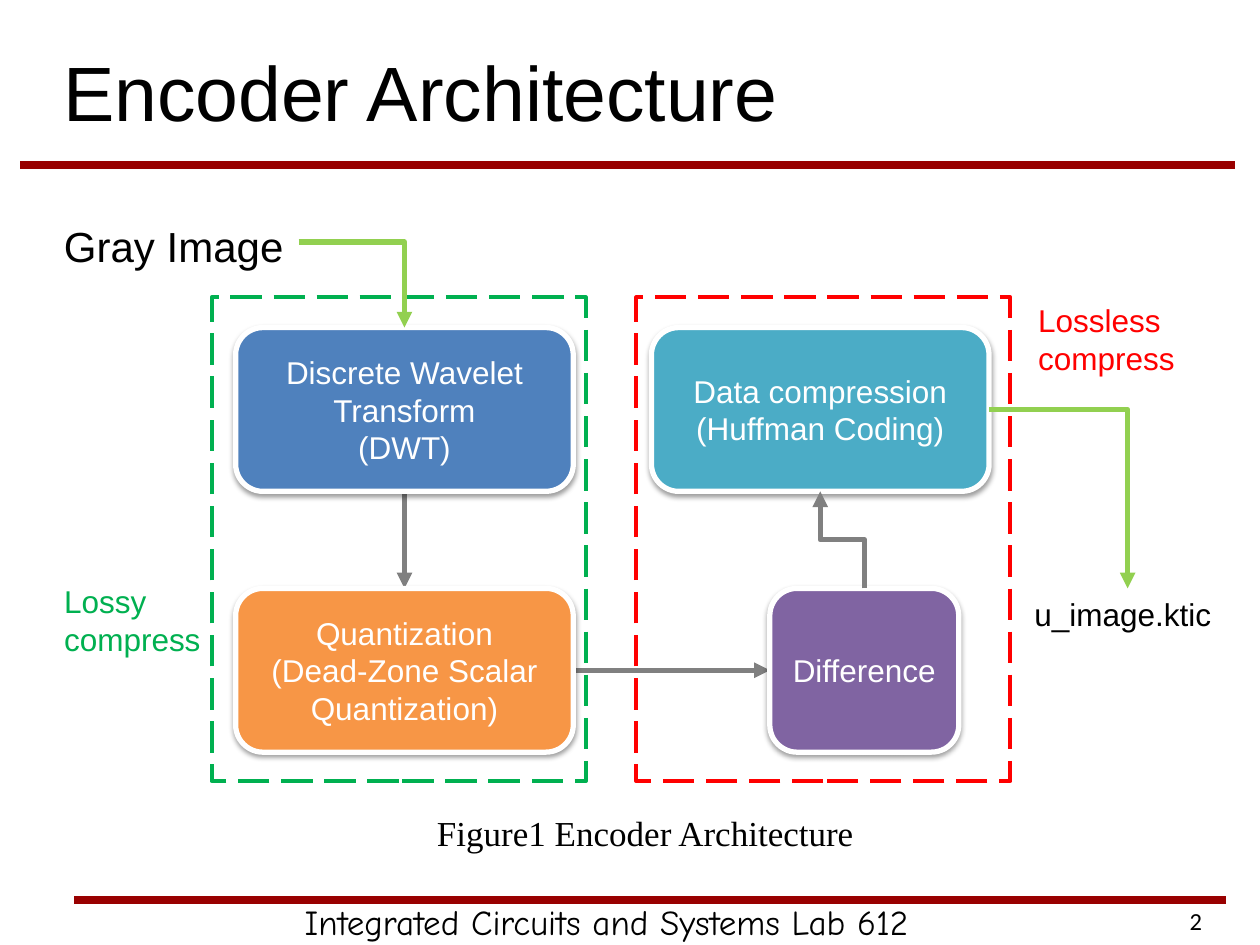
"""Draw the encoder architecture slide."""
from typing import NamedTuple

from lxml import etree
from pptx import Presentation
from pptx.dml.color import RGBColor
from pptx.enum.dml import MSO_LINE
from pptx.enum.shapes import MSO_CONNECTOR, MSO_SHAPE
from pptx.enum.text import MSO_ANCHOR, MSO_AUTO_SIZE, PP_ALIGN
from pptx.oxml.ns import qn
from pptx.util import Emu, Inches, Pt

LEFT, MID, RIGHT = PP_ALIGN.LEFT, PP_ALIGN.CENTER, PP_ALIGN.RIGHT
TOP, CORE = MSO_ANCHOR.TOP, MSO_ANCHOR.MIDDLE
LINE, ELBOW = MSO_CONNECTOR.STRAIGHT, MSO_CONNECTOR.ELBOW
ROUND, RECT = MSO_SHAPE.ROUNDED_RECTANGLE, MSO_SHAPE.RECTANGLE
DASH, FIXED = MSO_LINE.LONG_DASH, MSO_AUTO_SIZE.NONE
COLS, ROWS, CELL = 100, 75, 0.1
BLACK, WHITE, GRAY, MAROON = "000000", "FFFFFF", "808080", "990000"
LIME, GREEN, RED = "92D050", "00B050", "FF0000"
BOX_W, BOX_H, ROW_1, ROW_2 = 26.8, 13, 26, 46.7
COL_1, COL_2, COL_3 = 18.7, 51.7, 61.1
MID_1 = COL_1 + BOX_W / 2
MID_Y = ROW_2 + BOX_H / 2


class Area(NamedTuple):
    """A place on the grid, in columns and rows."""
    col: float
    row: float
    wide: float
    high: float


class Box(NamedTuple):
    """A filled step of the encoder."""
    text: str
    area: Area
    fill: str


class Label(NamedTuple):
    """A text with its place and format."""
    text: str
    area: Area
    form: dict


class Path(NamedTuple):
    """A connector between two points of the grid."""
    start: tuple
    end: tuple
    hue: str
    kind: int = LINE
    prst: str = ""
    turn: int = 0
    head: bool = True
    size: float = 3


BARS = [
    Path((5.9, 71.4), (97.3, 71.4), MAROON, head=False, size=4.5),
    Path((1.6, 13.1), (98, 13.1), MAROON, head=False, size=4.5),
]
PATHS = [
    Path((MID_1, ROW_1 + BOX_H), (MID_1, ROW_2), GRAY),
    Path((COL_1 + BOX_W, MID_Y), (COL_3, MID_Y), GRAY),
]
BENDS = [
    Path((63, 44.6), (70.7, 41.1), GRAY, ELBOW, turn=270),
    Path((COL_2 + BOX_W, 32.5), (89.5, ROW_2), LIME, ELBOW, "bentConnector2"),
    Path((23.7, 19.2), (MID_1, ROW_1), LIME, ELBOW, "bentConnector2"),
]
BOXES = [
    Box("Discrete\u00a0Wavelet Transform\n(DWT)", Area(COL_1, ROW_1, BOX_W, BOX_H), "4F81BD"),
    Box("Quantization\n(Dead-Zone Scalar Quantization)", Area(COL_1, ROW_2, BOX_W, BOX_H), "F79646"),
    Box("Difference", Area(COL_3, ROW_2, 15, BOX_H), "8064A2"),
    Box("Data compression\n(Huffman Coding)", Area(COL_2, ROW_1, BOX_W, BOX_H), "4BACC6"),
]
FRAMES = [(16.8, GREEN), (50.5, RED)]
LABELS = [
    Label("Integrated Circuits and Systems Lab 612", Area(23.2, 71, 58.3, 4.3),
          {"size": 20, "font": "Comic Neue"}),
    Label("2", Area(73.1, 71.4, 23.3, 1.4), {"size": 14, "font": "Calibri", "align": RIGHT}),
    Label("Gray Image", Area(4.1, 17, 19.6, 4.3), {"size": 24}),
    Label("u_image.ktic ", Area(80.4, ROW_2, 18.1, 4), {"align": MID}),
    Label("Lossy\ncompress", Area(4.1, 45.7, 13.5, 6), {"hue": GREEN}),
    Label("Lossless\ncompress", Area(81.4, 23.4, 13.5, 6), {"hue": RED}),
    Label("Figure1 Encoder Architecture", Area(33.7, 63.9, 35.3, 4.4),
          {"size": 20, "font": "Times New Roman", "wrap": False}),
]


def grid(count: float) -> Emu:
    """Turn a count of cells into a length."""
    return Inches(count * CELL)


def span(area: Area) -> list[Emu]:
    """Turn an area into four lengths."""
    return [grid(part) for part in area]


def paint(form, hue: str) -> None:
    """Give a fill or a font colour from a hex string."""
    if hasattr(form, "solid"):
        form.solid()
        form = form.fore_color
    form.rgb = RGBColor.from_string(hue)


def write(shape, text: str, *, size: float = 18, font: str = "Arial", hue: str = BLACK,
          align=LEFT, anchor=TOP, wrap: bool = True, space: float = 1) -> None:
    """Put formatted text into a shape."""
    frame = shape.text_frame
    frame.text = text
    frame.word_wrap, frame.auto_size = wrap, FIXED
    frame.vertical_anchor = anchor
    for para in frame.paragraphs:
        para.alignment, para.line_spacing = align, space
        for run in para.runs:
            run.font.size, run.font.name = Pt(size), font
            paint(run.font.color, hue)


def link(slide, path: Path) -> None:
    """Draw a line or an arrow."""
    ends = [grid(part) for part in path.start + path.end]
    line = slide.shapes.add_connector(path.kind, *ends)
    paint(line.line.fill, path.hue)
    line.line.width = Pt(path.size)
    prop = line.element.spPr
    if path.prst:
        prop.find(qn("a:prstGeom")).set("prst", path.prst)
    if path.turn:
        prop.find(qn("a:xfrm")).set("rot", str(path.turn * 60000))
    if path.head:
        etree.SubElement(prop.find(qn("a:ln")), qn("a:tailEnd"), type="triangle")
    etree.SubElement(prop, qn("a:effectLst"))


def shade(shape) -> None:
    """Add a soft shadow below a shape."""
    root = shape.element.spPr.find(qn("a:effectLst"))
    glow = etree.SubElement(root, qn("a:outerShdw"), blurRad=str(Pt(3.1)), dist=str(Pt(1.6)),
                            dir="5400000", rotWithShape="0")
    tint = etree.SubElement(glow, qn("a:srgbClr"), val=BLACK)
    etree.SubElement(tint, qn("a:alpha"), val="38000")


def block(slide, kind, area: Area, hue: str, size: float):
    """Draw an outlined shape without a shadow."""
    shape = slide.shapes.add_shape(kind, *span(area))
    shape.shadow.inherit = False
    paint(shape.line.fill, hue)
    shape.line.width = Pt(size)
    return shape


def main() -> None:
    """Build and save the slide."""
    deck = Presentation()
    deck.slide_width, deck.slide_height = grid(COLS), grid(ROWS)
    slide = deck.slides.add_slide(deck.slide_layouts[5])
    title = slide.shapes.title
    title.left, title.top, title.width, title.height = span(Area(5, 3, 90, 9.3))
    write(title, "Encoder Architecture", size=44, anchor=CORE, space=0.9)
    frame = title.text_frame
    frame.margin_left = frame.margin_right = frame.margin_top = frame.margin_bottom = 0
    for path in BARS + PATHS:
        link(slide, path)
    for box in BOXES:
        shape = block(slide, ROUND, box.area, WHITE, 3)
        paint(shape.fill, box.fill)
        shade(shape)
        write(shape, box.text, hue=WHITE, align=MID, anchor=CORE)
    for col, hue in FRAMES:
        shape = block(slide, RECT, Area(col, 23.6, 29.7, 38.4), hue, 2.25)
        shape.fill.background()
        shape.line.dash_style = DASH
    for path in BENDS:
        link(slide, path)
    for label in LABELS:
        write(slide.shapes.add_textbox(*span(label.area)), label.text, **label.form)
    deck.save("out.pptx")


main()
